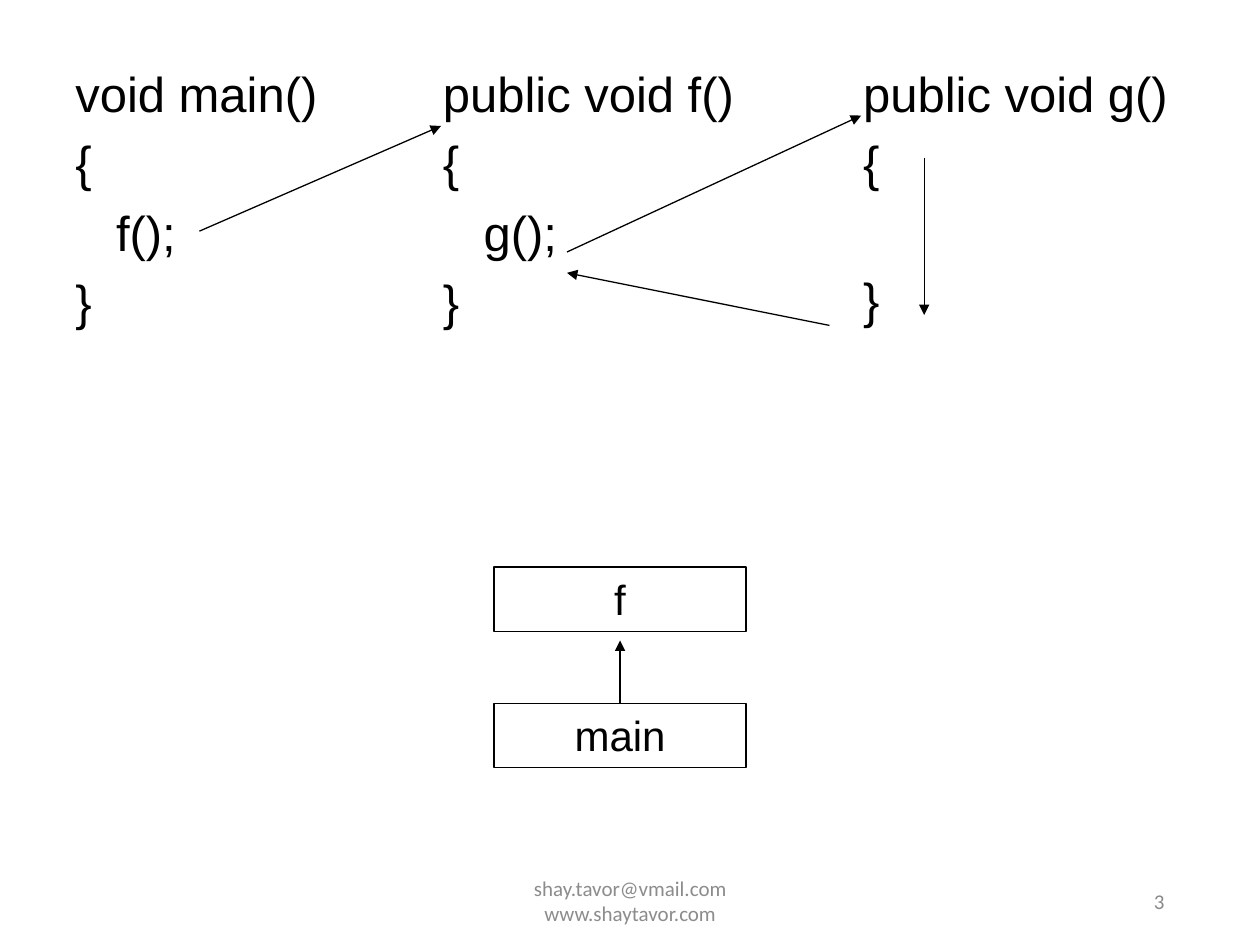
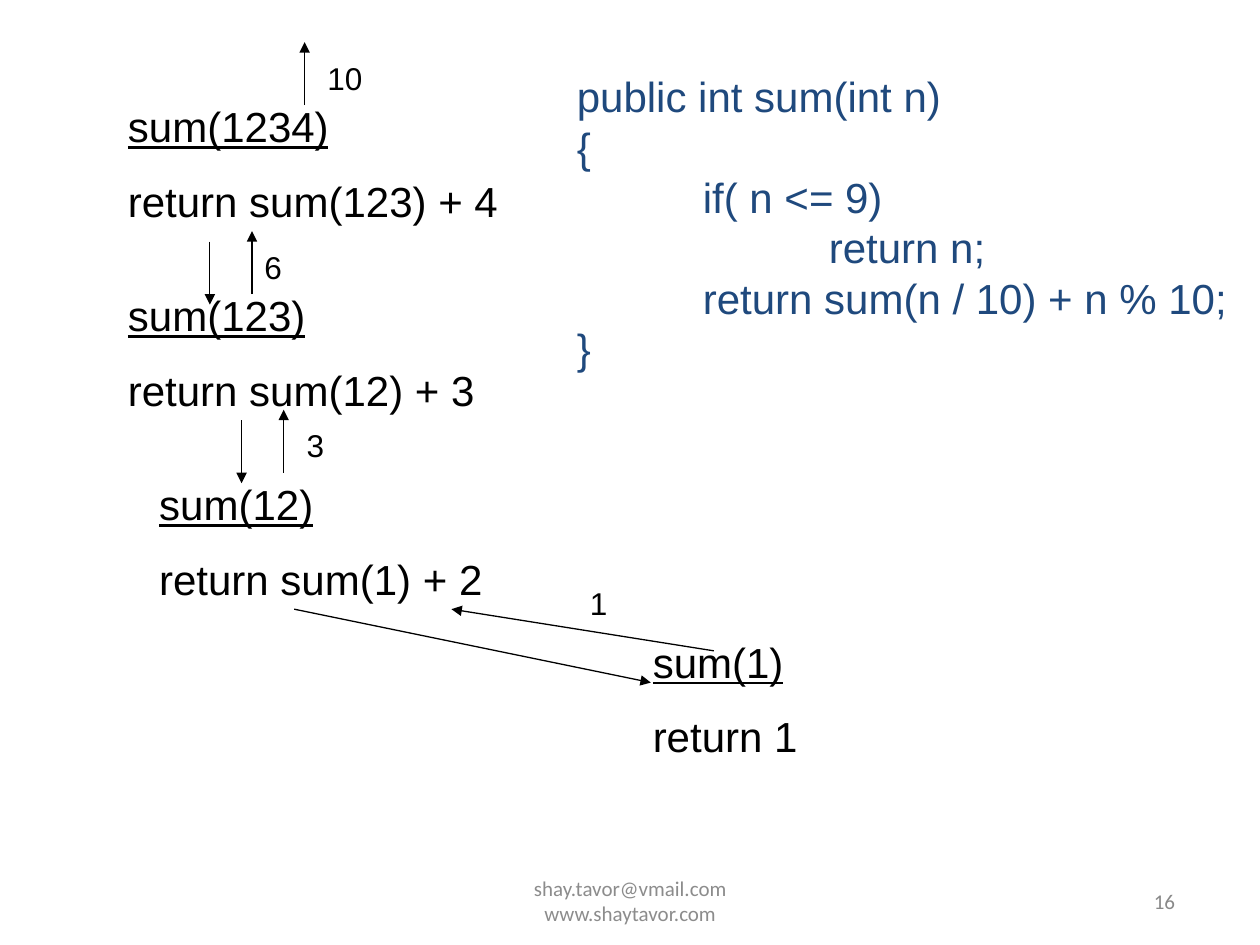
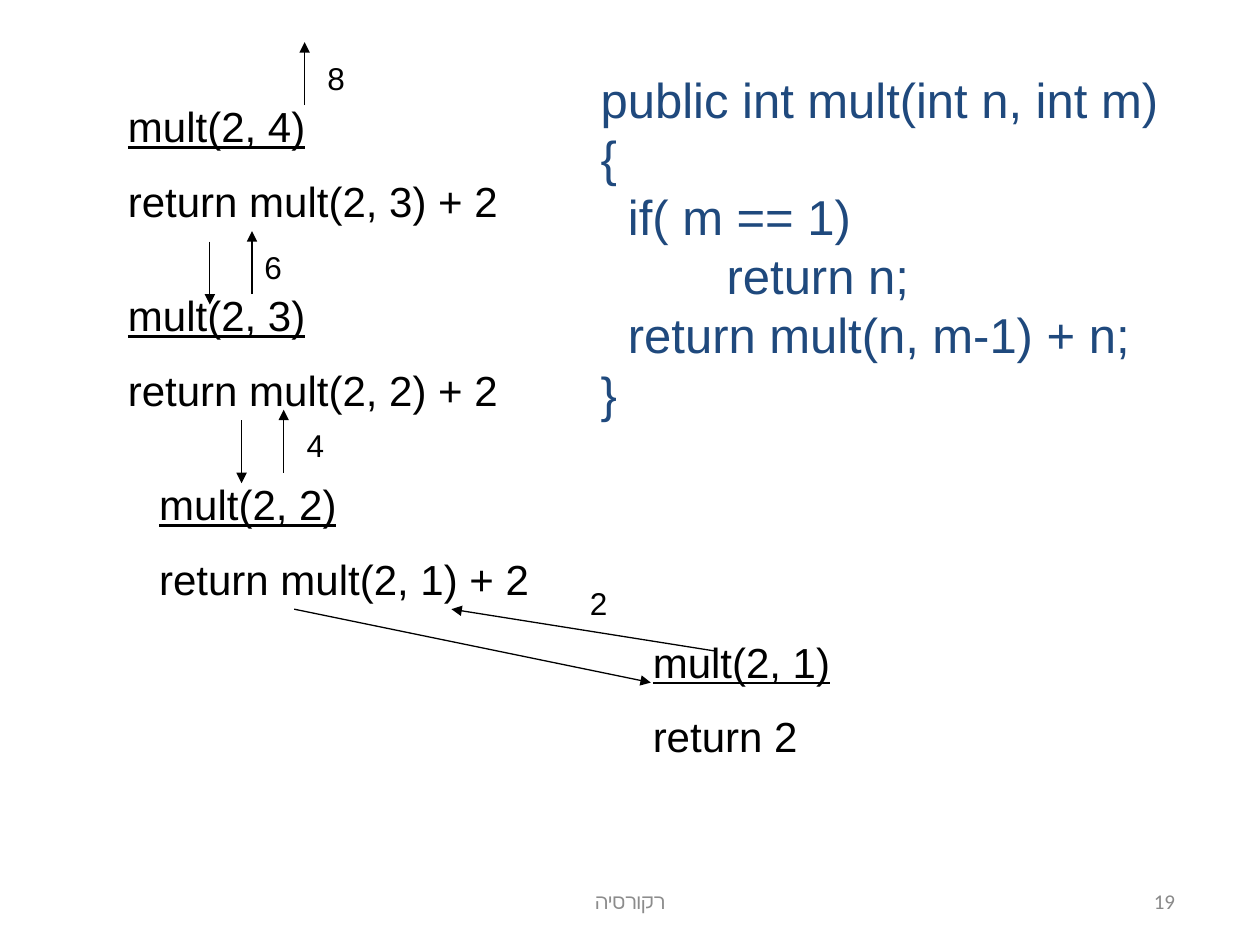
from dataclasses import dataclass
from typing import NamedTuple

from lxml.etree import SubElement
from pptx import Presentation
from pptx.dml.color import RGBColor
from pptx.enum.shapes import MSO_CONNECTOR, MSO_SHAPE
from pptx.enum.text import MSO_ANCHOR, MSO_AUTO_SIZE, PP_ALIGN
from pptx.oxml.ns import qn
from pptx.shapes.base import BaseShape
from pptx.slide import Slide
from pptx.util import Cm, Pt


@dataclass(frozen=True)
class Theme:
    ink: RGBColor = RGBColor(0x00, 0x00, 0x00)
    code: RGBColor = RGBColor(0x1F, 0x49, 0x7D)
    footer: RGBColor = RGBColor(0x8C, 0x8C, 0x8C)
    number: RGBColor = RGBColor(0x89, 0x89, 0x89)
    body_font: str = "Arial"
    footer_font: str = "Calibri"
    large: int = 28
    medium: int = 24
    small: int = 18
    tiny: int = 12
    hairline: float = 0.75
    line_height: float = 1.15
    paragraph_gap: float = 0.5


THEME = Theme()


class Box(NamedTuple):
    left: float
    top: float
    width: float
    height: float


class Arrow(NamedTuple):
    x1: float
    y1: float
    x2: float
    y2: float


class Line(NamedTuple):
    text: str
    indent: float = 0
    skipped: int = 0
    underline: bool = False


@dataclass(frozen=True)
class Style:
    size: int
    color: RGBColor = THEME.ink
    font: str = THEME.body_font
    align: PP_ALIGN = PP_ALIGN.LEFT
    spacing: float = 1.0
    gap: float = THEME.paragraph_gap
    rtl: bool = False


METHOD = Style(THEME.large, spacing=0.7)
CALL = Style(THEME.medium)
RESULT = Style(THEME.small)
STACK = Style(THEME.medium, align=PP_ALIGN.CENTER)
FOOTER = Style(THEME.tiny, THEME.footer, THEME.footer_font, PP_ALIGN.CENTER, rtl=True)
NUMBER = Style(THEME.tiny, THEME.number, THEME.footer_font)

FOOTER_BOX = Box(8.68, 17.65, 8.05, 1.02)
NUMBER_BOX = Box(23.01, 17.65, 1.12, 1.02)
CONTACT = "shay.tavor@vmail.com\vwww.shaytavor.com"

FRAME_BOXES = [
    Box(2.33, 1.91, 9.1, 2.79),
    Box(2.33, 5.72, 8.47, 2.79),
    Box(2.96, 9.53, 8.89, 2.79),
    Box(12.91, 12.7, 7.41, 2.79),
]
CALL_ARROWS = [
    Arrow(4.23, 4.87, 4.23, 6.14),
    Arrow(4.87, 8.47, 4.87, 9.74),
    Arrow(5.93, 12.28, 13.12, 13.76),
]
RETURN_ARROWS = [
    Arrow(6.14, 2.12, 6.14, 0.85),
    Arrow(5.08, 5.93, 5.08, 4.66),
    Arrow(5.72, 9.53, 5.72, 8.26),
    Arrow(14.39, 13.12, 9.1, 12.28),
]
RESULT_BOXES = [
    Box(6.35, 1.06, 1.27, 1.02),
    Box(5.08, 4.87, 0.85, 1.02),
    Box(5.93, 8.47, 0.85, 1.02),
    Box(11.64, 11.64, 0.85, 1.02),
]


def write(shape: BaseShape, lines: list[Line], style: Style,
          anchor: MSO_ANCHOR = MSO_ANCHOR.TOP, grow: bool = True) -> None:
    frame = shape.text_frame
    frame.word_wrap = True
    frame.vertical_anchor = anchor
    frame.auto_size = MSO_AUTO_SIZE.SHAPE_TO_FIT_TEXT if grow else MSO_AUTO_SIZE.NONE
    full_height = style.size * THEME.line_height
    gap = full_height * style.gap
    for index, line in enumerate(lines):
        paragraph = frame.add_paragraph() if index else frame.paragraphs[0]
        paragraph.text = line.text
        paragraph.alignment = style.align
        paragraph.line_spacing = style.spacing
        if index:
            paragraph.space_before = Pt(gap + line.skipped * (gap + full_height * style.spacing))
        paragraph.font.name = style.font
        paragraph.font.size = Pt(style.size)
        paragraph.font.color.rgb = style.color
        paragraph.font.underline = line.underline
        properties = paragraph._p.get_or_add_pPr()
        if line.indent:
            properties.set("marL", str(Cm(line.indent)))
            properties.set("indent", "0")
        if style.rtl:
            properties.set("rtl", "1")


def add_text(slide: Slide, box: Box, lines: list[Line], style: Style,
             anchor: MSO_ANCHOR = MSO_ANCHOR.TOP, grow: bool = True) -> None:
    write(slide.shapes.add_textbox(*map(Cm, box)), lines, style, anchor, grow)


def add_stack_box(slide: Slide, box: Box, label: str) -> None:
    shape = slide.shapes.add_shape(MSO_SHAPE.RECTANGLE, *map(Cm, box))
    shape.shadow.inherit = False
    shape.fill.background()
    shape.line.color.rgb = THEME.ink
    shape.line.width = Pt(THEME.hairline)
    write(shape, [Line(label)], STACK)


def add_arrow(slide: Slide, arrow: Arrow) -> None:
    connector = slide.shapes.add_connector(MSO_CONNECTOR.STRAIGHT, *map(Cm, arrow))
    connector.line.color.rgb = THEME.ink
    connector.line.width = Pt(THEME.hairline)
    SubElement(connector.line._get_or_add_ln(), qn("a:tailEnd"), type="triangle")
    SubElement(connector._element.spPr, qn("a:effectLst"))


def add_slide(deck: Presentation, footer: str, number: int) -> Slide:
    slide = deck.slides.add_slide(deck.slide_layouts[6])
    add_text(slide, FOOTER_BOX, [Line(footer)], FOOTER, MSO_ANCHOR.MIDDLE, grow=False)
    add_text(slide, NUMBER_BOX, [Line(str(number))], NUMBER, MSO_ANCHOR.MIDDLE, grow=False)
    return slide


def add_trace(slide: Slide, frames: list[tuple[str, str]], results: list[int]) -> None:
    for box, (call, answer) in zip(FRAME_BOXES, frames):
        add_text(slide, box, [Line(call, underline=True), Line(f"return {answer}")], CALL)
    for arrow in CALL_ARROWS + RETURN_ARROWS:
        add_arrow(slide, arrow)
    for box, result in zip(RESULT_BOXES, results):
        add_text(slide, box, [Line(str(result))], RESULT)


def add_code(slide: Slide, box: Box, lines: list[Line], size: int) -> None:
    add_text(slide, box, lines, Style(size, THEME.code, gap=0))


def build_call_stack(deck: Presentation) -> None:
    slide = add_slide(deck, CONTACT, 3)
    methods = [
        (1.27, "void main()", "f();"),
        (8.68, "public void f()", "g();"),
        (17.15, "public void g()", ""),
    ]
    for left, signature, call in methods:
        body = [Line(call, indent=0.82)] if call else []
        closing = Line("}", skipped=0 if call else 1)
        lines = [Line(signature), Line("{"), *body, closing]
        add_text(slide, Box(left, 1.48, 7.2, 5.36), lines, METHOD)
    for top, label in ((14.18, "main"), (11.43, "f")):
        add_stack_box(slide, Box(9.96, top, 5.08, 1.3), label)
    for arrow in (
        Arrow(12.5, 14.18, 12.5, 12.91),
        Arrow(4.02, 4.66, 8.89, 2.54),
        Arrow(11.43, 5.08, 17.36, 2.33),
        Arrow(18.63, 3.18, 18.63, 6.35),
        Arrow(16.72, 6.56, 11.43, 5.5),
    ):
        add_arrow(slide, arrow)


def build_sum(deck: Presentation) -> None:
    slide = add_slide(deck, CONTACT, 16)
    frames = [
        ("sum(1234)", "sum(123) + 4"),
        ("sum(123)", "sum(12) + 3"),
        ("sum(12)", "sum(1) + 2"),
        ("sum(1)", "1"),
    ]
    add_trace(slide, frames, [10, 6, 3, 1])
    code = [
        Line("public int sum(int n)"),
        Line("{"),
        Line("if( n <= 9)", indent=2.54),
        Line("return n;", indent=5.08),
        Line("return sum(n / 10) + n % 10;", indent=2.54),
        Line("}"),
    ]
    add_code(slide, Box(11.38, 1.3, 13.77, 7.19), code, THEME.medium)


def build_mult(deck: Presentation) -> None:
    slide = add_slide(deck, "רקורסיה", 19)
    frames = [(f"mult(2, {m})", f"mult(2, {m - 1}) + 2" if m > 1 else "2")
              for m in range(4, 0, -1)]
    add_trace(slide, frames, [8, 6, 4, 2])
    code = [
        Line("public int mult(int n, int m)"),
        Line("{"),
        Line("if( m == 1)", indent=0.55),
        Line("return n;", indent=2.54),
        Line("return mult(n, m-1) + n;", indent=0.55),
        Line("}"),
    ]
    add_code(slide, Box(11.86, 1.27, 12.5, 7.44), code, THEME.large)


def main() -> None:
    deck = Presentation()
    deck.slide_width, deck.slide_height = Cm(25.4), Cm(19.05)
    build_call_stack(deck)
    build_sum(deck)
    build_mult(deck)
    deck.save("out.pptx")


main()
